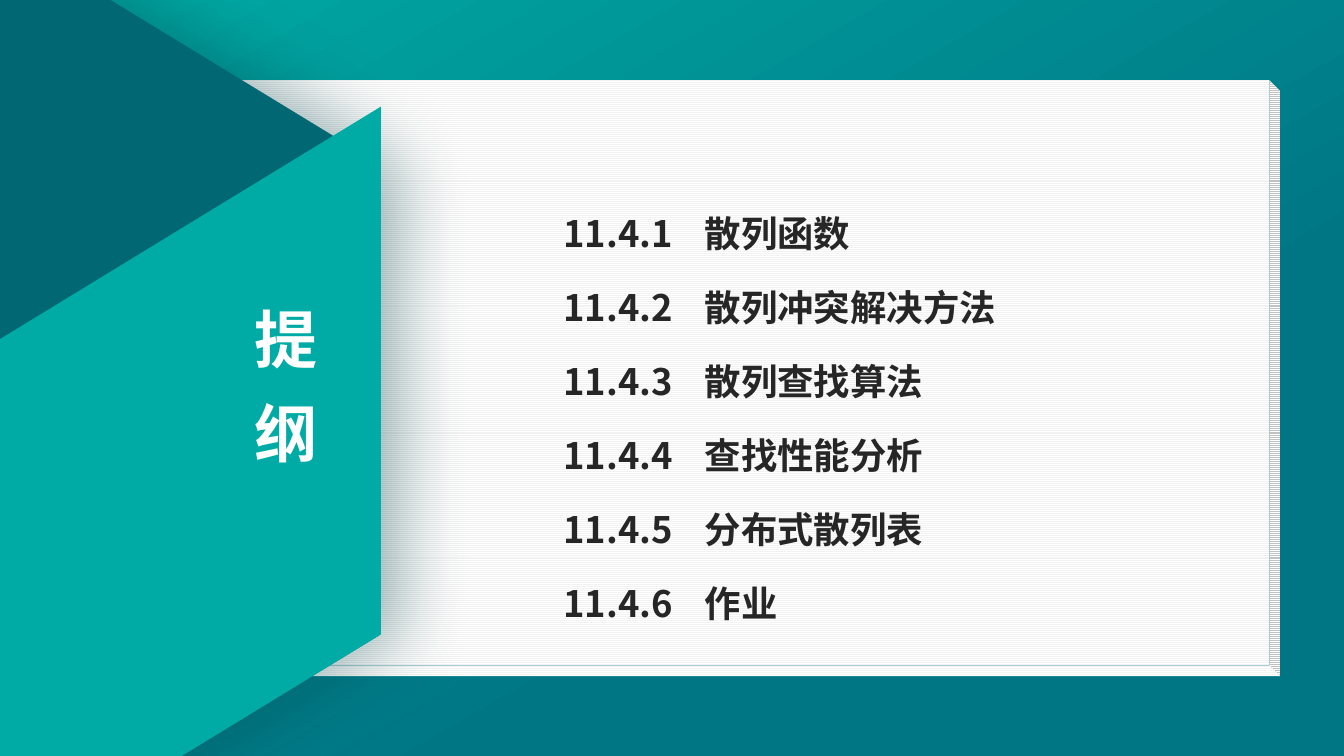
from lxml import etree
from pptx import Presentation
from pptx.dml.color import RGBColor
from pptx.enum.dml import MSO_PATTERN
from pptx.enum.shapes import MSO_SHAPE
from pptx.enum.text import PP_ALIGN
from pptx.oxml.ns import qn
from pptx.util import Pt

CUBE = MSO_SHAPE.CUBE
HEXAGON = MSO_SHAPE.HEXAGON
PARALLELOGRAM = MSO_SHAPE.PARALLELOGRAM
LIGHT_HORIZONTAL = MSO_PATTERN.LIGHT_HORIZONTAL
LEFT, CENTER = PP_ALIGN.LEFT, PP_ALIGN.CENTER

FONT = "Noto Sans CJK SC"
TEAL, DEEP_TEAL, DARK_TEAL = "00ABA5", "007684", "016773"
WHITE, PAPER_LINE, INK = "FFFFFF", "F2F2F2", "262626"

TITLE = "提纲"
TOPICS = ["散列函数", "散列冲突解决方法", "散列查找算法",
          "查找性能分析", "分布式散列表", "作业"]


def rgb(hex_color):
    return RGBColor.from_string(hex_color)


def fill_gradient(fill, stops, clockwise_angle):
    """Fill with two (position, colour) stops."""
    fill.gradient()
    fill.gradient_angle = 360 - clockwise_angle
    for stop, (position, color) in zip(fill.gradient_stops, stops):
        stop.position = position
        stop.color.rgb = rgb(color)


def fill_ruled(fill):
    fill.patterned()
    fill.pattern = LIGHT_HORIZONTAL
    fill.fore_color.rgb = rgb(PAPER_LINE)
    fill.back_color.rgb = rgb(WHITE)


def add_shadow(properties, color, opacity, blur, distance, angle):
    """Put an outer shadow on shape or run properties; opacity in percent."""
    effects = properties.find(qn("a:effectLst"))
    if effects is None:
        effects = etree.SubElement(properties, qn("a:effectLst"))
    shadow = etree.SubElement(
        effects, qn("a:outerShdw"), blurRad=str(Pt(blur)), dist=str(Pt(distance)),
        dir=str(angle * 60000), algn="ctr", rotWithShape="0")
    tint = etree.SubElement(shadow, qn("a:srgbClr"), val=color)
    etree.SubElement(tint, qn("a:alpha"), val=str(opacity * 1000))


def add_panel(slide, preset, box, adjustments, rotation=0):
    panel = slide.shapes.add_shape(preset, *map(Pt, box))
    panel.rotation = rotation
    panel.shadow.inherit = False
    panel.line.fill.background()
    for index, value in enumerate(adjustments):
        panel.adjustments[index] = value
    return panel


def add_lines(slide, box, lines, size, color, align, spacing, before=0):
    """Add a bold text box with one paragraph per line."""
    frame = slide.shapes.add_textbox(*map(Pt, box)).text_frame
    frame.word_wrap = True
    frame.margin_top = 0
    frame.text = "\n".join(lines)
    for paragraph in frame.paragraphs:
        paragraph.alignment = align
        paragraph.line_spacing = spacing
        paragraph.space_before = Pt(before)
        for run in paragraph.runs:
            run.font.size = Pt(size)
            run.font.bold = True
            run.font.color.rgb = rgb(color)
    return frame.paragraphs


def set_font(run):
    run.font.name = FONT
    etree.SubElement(run.font._element, qn("a:ea"), typeface=FONT)


def add_tab_stop(paragraph, position):
    tabs = etree.SubElement(paragraph._p.get_or_add_pPr(), qn("a:tabLst"))
    etree.SubElement(tabs, qn("a:tab"), pos=str(Pt(position)), algn="l")


def add_title(slide):
    for paragraph in add_lines(slide, (164, 202, 80, 140), TITLE, 45, WHITE,
                               CENTER, Pt(67)):
        for run in paragraph.runs:
            add_shadow(run.font._element, "000000", 43, 3, 3, 45)
            set_font(run)


def add_topics(slide):
    lines = [f"11.4.{number}\t{topic}" for number, topic in enumerate(TOPICS, 1)]
    for paragraph in add_lines(slide, (395.3, 135.4, 404.6, 311.8), lines, 26, INK,
                               LEFT, 1.5, 6):
        add_tab_stop(paragraph, 101)
        for run in paragraph.runs:
            set_font(run)


def main():
    presentation = Presentation()
    presentation.slide_width, presentation.slide_height = Pt(960), Pt(540)
    slide = presentation.slides.add_slide(presentation.slide_layouts[6])
    fill_gradient(slide.background.fill, [(0, TEAL), (0.67, DEEP_TEAL)], 60)

    paper = add_panel(slide, CUBE, (0, 57.4, 914.4, 425.5), [0.018])
    paper._element.spPr.find(qn("a:xfrm")).set("flipV", "1")
    fill_ruled(paper.fill)

    dark_fold = add_panel(slide, HEXAGON, (-447.1, -56.9, 753.1, 684.7),
                          [0.305, 1.155], 90)
    fill_gradient(dark_fold.fill, [(0.77, DARK_TEAL), (1, DEEP_TEAL)], 90)
    add_shadow(dark_fold._element.spPr, "013F45", 40, 55, 13, 0)

    ribbon = add_panel(slide, PARALLELOGRAM, (-197.3, 208.1, 596.9, 321.8),
                       [0.61], 328.6)
    ribbon.fill.solid()
    ribbon.fill.fore_color.rgb = rgb(TEAL)

    add_title(slide)
    add_topics(slide)
    presentation.save("out.pptx")


if __name__ == "__main__":
    main()
